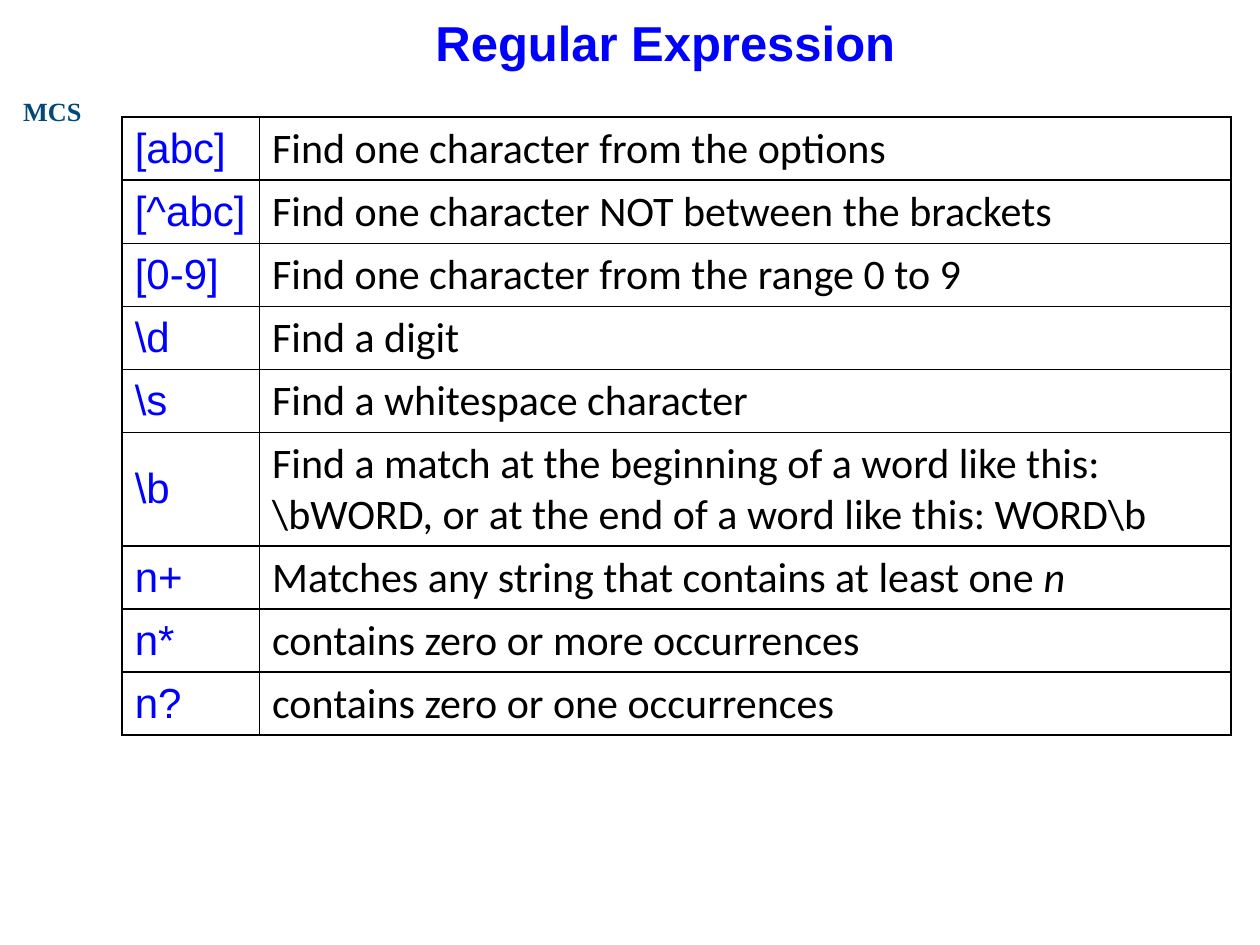
from lxml import etree
from pptx import Presentation
from pptx.dml.color import RGBColor
from pptx.enum.text import MSO_ANCHOR, MSO_AUTO_SIZE, PP_ALIGN
from pptx.oxml.ns import qn
from pptx.util import Inches, Pt

MIDDLE = MSO_ANCHOR.MIDDLE
CENTER = PP_ALIGN.CENTER
TITLE_ONLY = 5

COLORS = {"blue": "0000FF", "navy": "00497A", "black": "000000"}

# Each row: pattern, description, italic ending
PATTERNS = [
    (r"[abc]", "Find one character from the options", ""),
    (r"[^abc]", "Find one character NOT between the brackets", ""),
    (r"[0-9]", "Find one character from the range 0 to 9", ""),
    (r"\d", "Find a digit", ""),
    (r"\s", "Find a whitespace character", ""),
    (r"\b", r"Find a match at the beginning of a word like this: "
            r"\bWORD, or at the end of a word like this: WORD\b", ""),
    (r"n+", "Matches any string that contains at least one ", "n"),
    (r"n*", "contains zero or more occurrences", ""),
    (r"n?", "contains zero or one occurrences", ""),
]
ROW_HEIGHT = 0.5
TALL_ROWS = {r"\b": 0.9}


class SlideBuilder:
    def __init__(self, slide):
        self.slide = slide

    def format(self, p, font, size, color, bold=False, align=None):
        p.font.name = font
        p.font.size = Pt(size)
        p.font.bold = bold
        p.font.color.rgb = RGBColor.from_string(COLORS[color])
        if align is not None:
            p.alignment = align

    def title(self, text, x, y, w, h):
        sp = self.slide.shapes.title
        sp.left, sp.top, sp.width, sp.height = map(Inches, (x, y, w, h))
        tf = sp.text_frame
        tf.text = text
        tf.vertical_anchor = MIDDLE
        self.format(tf.paragraphs[0], "Arial", 28, "blue", True, CENTER)

    def label(self, text, x, y, w, h):
        sp = self.slide.shapes.add_textbox(*map(Inches, (x, y, w, h)))
        tf = sp.text_frame
        tf.text = text
        tf.word_wrap = False
        tf.auto_size = MSO_AUTO_SIZE.SHAPE_TO_FIT_TEXT
        self.format(tf.paragraphs[0], "Times New Roman", 15, "navy", True, CENTER)

    def borders(self, cell):
        """Draw a thin black line on all four sides of the cell."""
        tc_pr = cell._tc.get_or_add_tcPr()
        for i, side in enumerate(("lnL", "lnR", "lnT", "lnB")):
            ln = etree.Element(qn(f"a:{side}"), w=str(Pt(1)))
            fill = etree.SubElement(ln, qn("a:solidFill"))
            etree.SubElement(fill, qn("a:srgbClr"), val=COLORS["black"])
            tc_pr.insert(i, ln)

    def cell(self, cell, text, font, color, ending=""):
        p = cell.text_frame.paragraphs[0]
        p.add_run().text = text
        if ending:
            r = p.add_run()
            r.text = ending
            r.font.italic = True
        self.format(p, font, 24, color)
        cell.vertical_anchor = MIDDLE
        cell.fill.background()
        self.borders(cell)

    def table(self, rows, x, y, col_widths):
        heights = [TALL_ROWS.get(pattern, ROW_HEIGHT) for pattern, _, _ in rows]
        frame = self.slide.shapes.add_table(
            len(rows), len(col_widths), Inches(x), Inches(y),
            Inches(sum(col_widths)), Inches(sum(heights)))
        table = frame.table
        table.first_row = table.horz_banding = False
        for col, width in zip(table.columns, col_widths):
            col.width = Inches(width)
        for i, (pattern, description, ending) in enumerate(rows):
            table.rows[i].height = Inches(heights[i])
            self.cell(table.cell(i, 0), pattern, "Arial", "blue")
            self.cell(table.cell(i, 1), description, "Calibri", "black", ending)


def main():
    prs = Presentation()
    prs.slide_width, prs.slide_height = Inches(10), Inches(7.5)
    s = SlideBuilder(prs.slides.add_slide(prs.slide_layouts[TITLE_ONLY]))
    s.label("MCS", 0.08, 0.71, 0.67, 0.35)
    s.table(PATTERNS, 0.97, 0.93, (1.09, 7.71))
    s.title("Regular Expression", 0.83, 0, 8.9, 0.67)
    prs.save("out.pptx")


if __name__ == "__main__":
    main()
